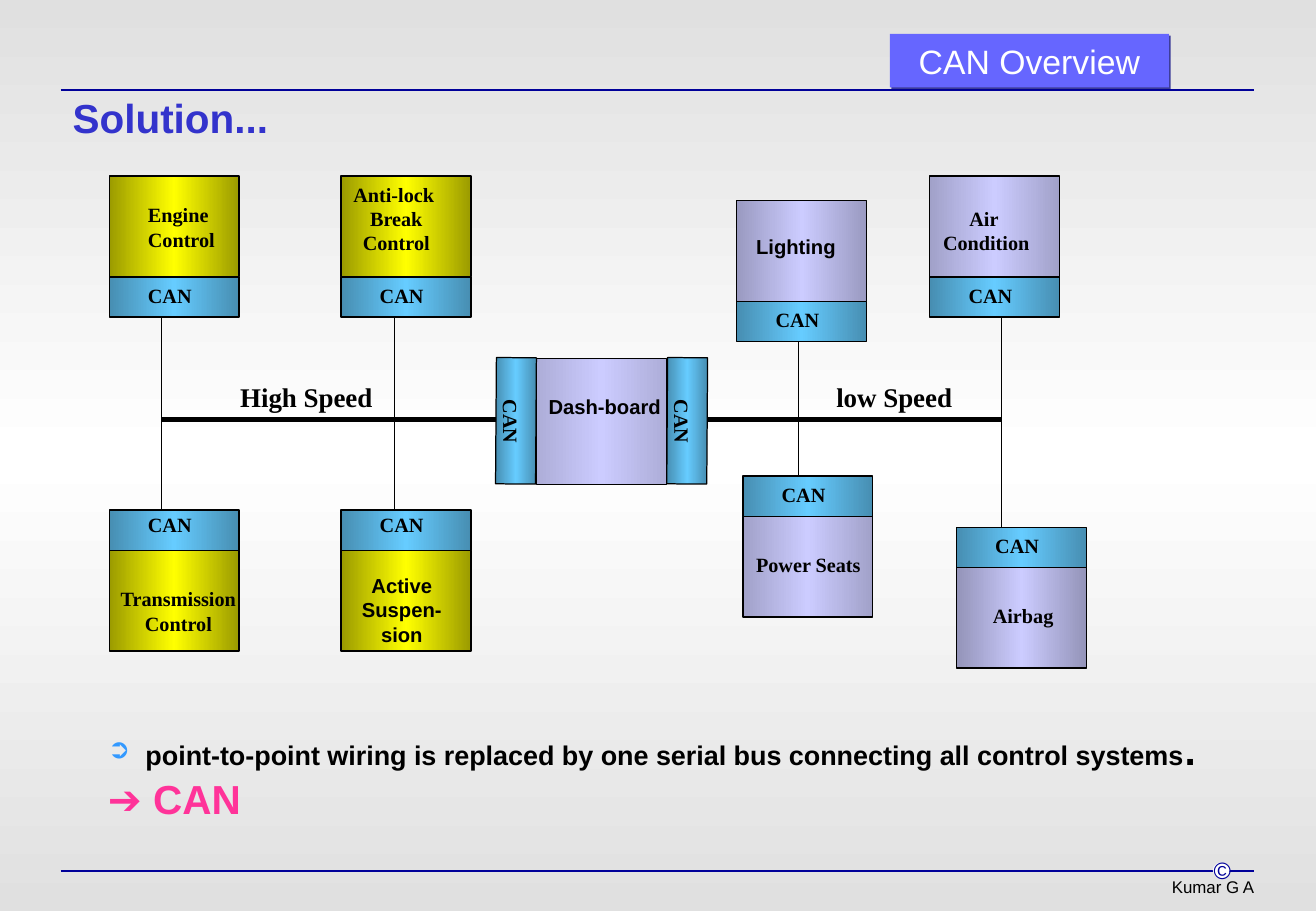
from copy import deepcopy
from dataclasses import dataclass

from lxml import etree
from pptx import Presentation
from pptx.dml.color import RGBColor
from pptx.enum.shapes import MSO_CONNECTOR, MSO_SHAPE
from pptx.enum.text import MSO_ANCHOR, MSO_AUTO_SIZE, PP_ALIGN
from pptx.oxml.ns import qn
from pptx.util import Inches, Pt

LEFT, MID, RIGHT = PP_ALIGN.LEFT, PP_ALIGN.CENTER, PP_ALIGN.RIGHT
TOP, MIDDLE = MSO_ANCHOR.TOP, MSO_ANCHOR.MIDDLE
RECT, OVAL = MSO_SHAPE.RECTANGLE, MSO_SHAPE.OVAL
STRAIGHT = MSO_CONNECTOR.STRAIGHT
GROW = MSO_AUTO_SIZE.SHAPE_TO_FIT_TEXT

BLACK = RGBColor(0x00, 0x00, 0x00)
WHITE = RGBColor(0xFF, 0xFF, 0xFF)
GREY = RGBColor(0xE0, 0xE0, 0xE0)
NAVY = RGBColor(0x00, 0x00, 0x99)
BLUE = RGBColor(0x33, 0x33, 0xCC)
BANNER = RGBColor(0x66, 0x66, 0xFF)
SHADE = RGBColor(0x3D, 0x3D, 0x99)
AZURE = RGBColor(0x33, 0x99, 0xFF)
PINK = RGBColor(0xFF, 0x33, 0x99)
OLIVE = RGBColor(0x9B, 0x9B, 0x00)
YELLOW = RGBColor(0xFF, 0xFF, 0x00)
TEAL = RGBColor(0x47, 0x8E, 0xB2)
SKY = RGBColor(0x66, 0xCC, 0xFF)
LILAC = RGBColor(0xCC, 0xCC, 0xFF)
MAUVE = RGBColor(0xA1, 0xA1, 0xC9)
PLUM = RGBColor(0x9A, 0x9A, 0xC1)
DUSK = RGBColor(0x94, 0x94, 0xB9)
MIST = RGBColor(0xAD, 0xAD, 0xD8)

SANS, SERIF = "Arial", "Times New Roman"
WIDE, HIGH, STRIP = 1.07, 0.83, 0.33
PAD = (0.1, 0.05, 0.1, 0.05)
Area = tuple[float, float, float, float]


@dataclass
class Unit:
    left: float
    top: float
    edge: RGBColor
    core: RGBColor
    text: str
    spot: Area
    face: str = SERIF
    align: PP_ALIGN = LEFT
    high: float = HIGH
    below: bool = True
    lift: float = 0


@dataclass
class Wire:
    start: tuple[float, float]
    end: tuple[float, float]
    color: RGBColor = BLACK
    width: float = 0.75


UNITS = [
    Unit(0.9, 1.45, OLIVE, YELLOW, "Engine\nControl", (1.12, 1.62, 0.77, 0.5)),
    Unit(0.9, 4.53, OLIVE, YELLOW, "Transmission\nControl", (0.88, 4.78, 1.18, 0.5),
         align=MID, below=False, lift=0.03),
    Unit(2.81, 1.45, OLIVE, YELLOW, "Anti-lock \nBreak\nControl", (2.8, 1.45, 0.93, 0.7),
         align=MID),
    Unit(2.81, 4.53, OLIVE, YELLOW, "Active\nSuspen-\nsion", (2.87, 4.67, 0.88, 0.7),
         face=SANS, align=MID, below=False, lift=0.03),
    Unit(7.66, 1.45, MAUVE, LILAC, "Air \nCondition", (7.66, 1.65, 0.93, 0.5), align=MID),
    Unit(6.07, 1.65, PLUM, LILAC, "Lighting", (6.13, 1.88, 0.9, 0.3), face=SANS),
    Unit(6.12, 4.25, MAUVE, LILAC, "Power Seats", (6.13, 4.5, 1.1, 0.3), below=False),
    Unit(7.88, 4.67, DUSK, LILAC, "Airbag", (8.08, 4.92, 0.74, 0.3), below=False),
]
DASH = Unit(4.42, 2.95, MIST, LILAC, "Dash-board", (4.42, 3.2, 1.18, 0.3),
            face=SANS, high=1.04)
RULES = [Wire((0.5, y), (10.33, y), NAVY, 1) for y in (0.74, 7.17)]
BUS = [
    Wire((1.33, 2.28), (1.33, 4.5)),
    Wire((3.25, 2.28), (3.25, 4.53)),
    Wire((6.58, 2.48), (6.58, 4.25)),
    Wire((8.25, 2.28), (8.25, 4.67)),
    Wire((1.33, 3.45), (4.42, 3.45), width=3),
    Wire((5.49, 3.45), (8.25, 3.45), width=3),
]

deck = Presentation()
deck.slide_width, deck.slide_height = Inches(10.84), Inches(7.5)
slide = deck.slides.add_slide(deck.slide_layouts[6])
shapes = slide.shapes


def blend(host, fill, edge: RGBColor, core: RGBColor, angle: float = 0) -> None:
    fill.gradient()
    fill.gradient_angle = angle
    grad = next(host.iter(qn("a:gradFill")))
    grad.set("rotWithShape", "0")
    marks = grad.find(qn("a:gsLst"))
    marks.append(deepcopy(marks[0]))
    for stop, place, color in zip(fill.gradient_stops, (0, 0.5, 1), (edge, core, edge)):
        stop.position = place
        stop.color.rgb = color


def block(kind, at: Area, fill: RGBColor | None = None):
    shape = shapes.add_shape(kind, *map(Inches, at))
    shape.shadow.inherit = False
    shape.line.fill.background()
    if fill is not None:
        shape.fill.solid()
        shape.fill.fore_color.rgb = fill
    return shape


def panel(at: Area, edge: RGBColor, core: RGBColor, turn: float = 0) -> None:
    shape = block(RECT, at)
    blend(shape._element, shape.fill, edge, core)
    shape.line.color.rgb = BLACK
    shape.line.width = Pt(0.75)
    shape.rotation = turn


def draw(wire: Wire) -> None:
    line = shapes.add_connector(STRAIGHT, *map(Inches, wire.start + wire.end))
    line.line.color.rgb = wire.color
    line.line.width = Pt(wire.width)
    etree.SubElement(line._element.spPr, qn("a:effectLst"))


def box(at: Area, turn: float = 0, wrap: bool = False, pad: Area = PAD, anchor=TOP):
    shape = shapes.add_textbox(*map(Inches, at))
    shape.rotation = turn
    frame = shape.text_frame
    frame.word_wrap = wrap
    frame.auto_size = GROW
    frame.vertical_anchor = anchor
    frame.margin_left, frame.margin_top, frame.margin_right, frame.margin_bottom = map(Inches, pad)
    return frame


def write(frame, text: str, *, size: float = 12, face: str = SERIF, color: RGBColor = BLACK,
          bold: bool = True, align: PP_ALIGN = LEFT, join: bool = False) -> None:
    for line in text.split("\n"):
        para = frame.paragraphs[-1]
        if para.runs and not join:
            para = frame.add_paragraph()
        para.alignment = align
        run = para.add_run()
        run.text = line
        run.font.size, run.font.name, run.font.bold = Pt(size), face, bold
        run.font.color.rgb = color


def bullet(para, sign: str, color: RGBColor, gap: float) -> None:
    props = para._p.get_or_add_pPr()
    props.set("marL", str(Inches(gap)))
    props.set("indent", str(-Inches(gap)))
    tint = etree.SubElement(props, qn("a:buClr"))
    etree.SubElement(tint, qn("a:srgbClr")).set("val", str(color))
    etree.SubElement(props, qn("a:buFont")).set("typeface", SANS)
    etree.SubElement(props, qn("a:buChar")).set("char", sign)


def body(unit: Unit) -> None:
    panel((unit.left, unit.top, WIDE, unit.high), unit.edge, unit.core)
    write(box(unit.spot), unit.text, face=unit.face, align=unit.align)


def node(unit: Unit) -> None:
    top = unit.top + (HIGH if unit.below else -STRIP)
    panel((unit.left, top, WIDE, STRIP), TEAL, SKY)
    write(box((unit.left + 0.22, top - unit.lift, 0.56, 0.3)), "CAN")


blend(slide._element, slide.background.fill, GREY, WHITE, 90)
for rule in RULES:
    draw(rule)
write(box((9.55, 7.22, 0.78, 0.22), pad=(0.1, 0, 0, 0.05)), "Kumar G A",
      size=10, face=SANS, bold=False, align=RIGHT)
block(OVAL, (9.99, 7.1, 0.14, 0.13), WHITE)
write(box((9.98, 7.05, 0.16, 0.23), wrap=True, pad=(0, 0, 0, 0), anchor=MIDDLE), "© ",
      size=14, face=SANS, color=NAVY, bold=False, align=RIGHT)

for unit in UNITS + [DASH]:
    body(unit)
for wire in BUS:
    draw(wire)

banner = block(RECT, (7.33, 0.28, 2.3, 0.44), BANNER)
cast = etree.SubElement(banner._element.spPr.find(qn("a:effectLst")), qn("a:outerShdw"),
                        dist=str(Pt(1.4)), dir="2700000", algn="ctr", rotWithShape="0")
etree.SubElement(cast, qn("a:srgbClr")).set("val", str(SHADE))
banner.text_frame.vertical_anchor = MIDDLE
write(banner.text_frame, "CAN Overview", size=20, face=SANS, color=WHITE, bold=False, align=MID)
write(box((0.5, 0.72, 1.85, 0.5)), "Solution...", size=24, face=SANS, color=BLUE)

notes = box((0.79, 5.92, 9.29, 0.9), wrap=True)
bullet(notes.paragraphs[0], "➲", AZURE, 0.31)
write(notes, "point-to-point wiring is replaced by one serial bus connecting all control systems",
      size=16, face=SANS)
write(notes, ".", size=24, face=SANS, join=True)
write(notes, "➔ CAN", size=24, face=SANS, color=PINK)

write(box((1.88, 3.08, 1.35, 0.37)), "High Speed", size=16)
write(box((6.79, 3.08, 1.22, 0.37)), "low Speed", size=16)

for unit in UNITS:
    node(unit)
for left in (3.73, 5.14):
    panel((left, 3.3, 1.04, STRIP), TEAL, SKY, 90.4)
    write(box((left + 0.2, 3.32, 0.56, 0.3), turn=89.5), "CAN")

deck.save("out.pptx")
